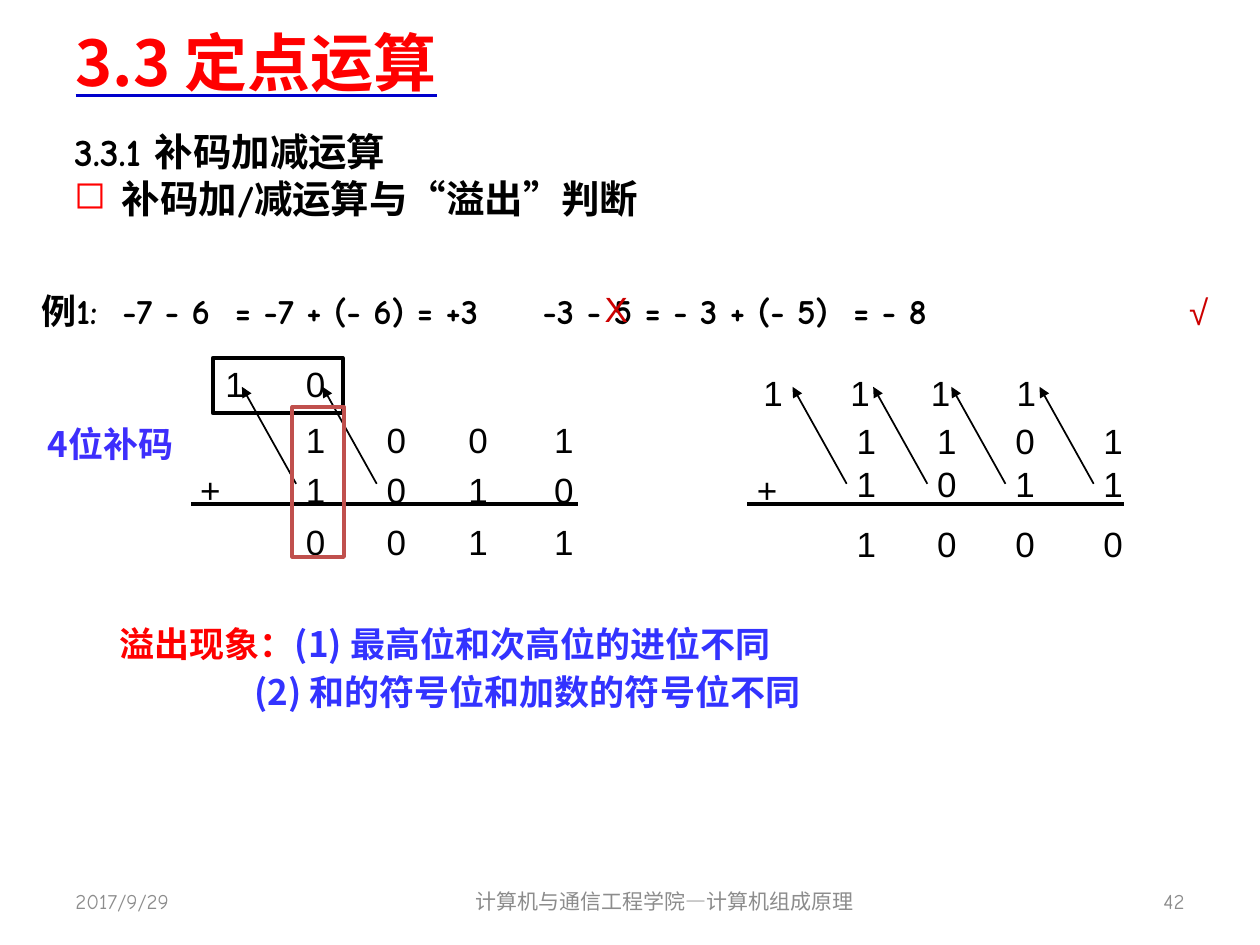
from dataclasses import dataclass
from typing import Optional

import pptx
import pptx.dml.color
import pptx.enum.shapes
import pptx.enum.text
import pptx.oxml
import pptx.oxml.ns
import pptx.util

Inches = pptx.util.Inches
Pt = pptx.util.Pt
RGB = pptx.dml.color.RGBColor.from_string
Align = pptx.enum.text.PP_ALIGN
Anchor = pptx.enum.text.MSO_ANCHOR
Fit = pptx.enum.text.MSO_AUTO_SIZE
qn = pptx.oxml.ns.qn


@dataclass(frozen=True)
class Theme:
    chinese: str = "Noto Sans CJK SC"
    casual: str = "Comic Neue"
    digits: str = "Arial"
    black: str = "000000"
    red: str = "FF0000"
    mark: str = "CC0000"
    underline: str = "0000CC"
    blue: str = "3333FF"
    violet: str = "3D2EFC"
    column_frame: str = "C0504D"
    grey: str = "8C8C8C"
    title_size: float = 36
    heading_size: float = 22
    text_size: float = 20
    footer_size: float = 12
    thick: float = 2.25
    thin: float = 1


THEME = Theme()


@dataclass(frozen=True)
class Style:
    font: str
    size: float
    color: str
    bold: bool = False


@dataclass(frozen=True)
class Addition:
    """One column addition; carries sit above and left of their columns."""
    columns: tuple[float, ...]
    rows: tuple[tuple[float, str], ...]
    carry_columns: tuple[float, ...]
    carry_digits: str
    carry_top: float
    plus_left: float
    rule: tuple[float, float]


TITLE = Style(THEME.chinese, THEME.title_size, THEME.red, True)
HEADING = Style(THEME.casual, THEME.heading_size, THEME.black, True)
EXAMPLE = Style(THEME.casual, THEME.text_size, THEME.black, True)
DIGIT = Style(THEME.digits, THEME.text_size, THEME.black)
MARK = Style(THEME.digits, THEME.text_size, THEME.mark)
WARNING = Style(THEME.chinese, THEME.text_size, THEME.red, True)
REASON = Style(THEME.chinese, THEME.text_size, THEME.blue, True)
WIDTH_LABEL = Style(THEME.chinese, THEME.text_size, THEME.violet, True)
FOOTER = Style(THEME.casual, THEME.footer_size, THEME.grey)

ADDITIONS = (
    Addition((2.33, 2.97, 3.62, 4.3),
             ((3.27, "1001"), (3.67, "1010"), (4.08, "0011")),
             (1.69, 2.33), "10", 2.83, 1.49, (1.52, 4.59)),
    Addition((6.7, 7.34, 7.96, 8.66),
             ((3.28, "1101"), (3.62, "1011"), (4.1, "1000")),
             (5.96, 6.65, 7.29, 7.97), "1111", 2.9, 5.91, (5.93, 8.92)),
)
PLUS_TOP, RULE_TOP = 3.67, 4
ARROW_START, ARROW_END, ARROW_SHIFT = 3.84, 3.07, 0.43


def add_xml(parent, tag: str, **attributes: str):
    child = pptx.oxml.parse_xml(f"<a:{tag} {pptx.oxml.ns.nsdecls('a')}/>")
    for name, value in attributes.items():
        child.set(name, value)
    parent.append(child)
    return child


def add_span(para, text: str, style: Style):
    span = para.add_run()
    span.text = text
    span.font.name = style.font
    span.font.size = Pt(style.size)
    span.font.bold = style.bold
    span.font.color.rgb = RGB(style.color)
    east_asian = add_xml(span.font._element, "ea", typeface=THEME.chinese)
    span.font._element.find(qn("a:latin")).addnext(east_asian)
    return span


def indent(para, left: float, first: float) -> None:
    properties = para._p.get_or_add_pPr()
    properties.set("marL", str(Inches(left)))
    properties.set("indent", str(Inches(first)))


def add_box(slide, left: float, top: float, width: float, height: float,
            wrap: bool = True, anchor=Anchor.TOP):
    box = slide.shapes.add_textbox(Inches(left), Inches(top),
                                   Inches(width), Inches(height))
    box.text_frame.word_wrap = wrap
    box.text_frame.vertical_anchor = anchor
    return box.text_frame


def add_label(slide, text: str, style: Style, left: float, top: float,
              width: float, height: float, align=Align.LEFT,
              wrap: bool = True, anchor=Anchor.TOP):
    para = add_box(slide, left, top, width, height, wrap, anchor).paragraphs[0]
    para.alignment = align
    add_span(para, text, style)
    return para


def add_digit(slide, text: str, left: float, top: float) -> None:
    add_label(slide, text, DIGIT, left, top, 0.36, 0.43, wrap=False)


def add_line(slide, x1: float, y1: float, x2: float, y2: float,
             weight: float, arrow: bool = False) -> None:
    line = slide.shapes.add_connector(
        pptx.enum.shapes.MSO_CONNECTOR.STRAIGHT,
        Inches(x1), Inches(y1), Inches(x2), Inches(y2))
    line.line.color.rgb = RGB(THEME.black)
    line.line.width = Pt(weight)
    if arrow:
        add_xml(line.line._get_or_add_ln(), "tailEnd", type="triangle")
    add_xml(line._element.spPr, "effectLst")


def add_frame(slide, color: str, left: float, top: float,
              width: float, height: float) -> None:
    frame = slide.shapes.add_shape(
        pptx.enum.shapes.MSO_SHAPE.RECTANGLE,
        Inches(left), Inches(top), Inches(width), Inches(height))
    frame.shadow.inherit = False
    frame.fill.background()
    frame.line.color.rgb = RGB(color)
    frame.line.width = Pt(THEME.thick)


def add_addition(slide, addition: Addition) -> None:
    for top, digits in addition.rows:
        for left, digit in zip(addition.columns, digits):
            add_digit(slide, digit, left, top)
    add_digit(slide, "+", addition.plus_left, PLUS_TOP)
    add_line(slide, addition.rule[0], RULE_TOP, addition.rule[1], RULE_TOP, THEME.thick)
    for left, digit, column in zip(addition.carry_columns, addition.carry_digits,
                                   addition.columns):
        add_digit(slide, digit, left, addition.carry_top)
        start = column + 0.02
        add_line(slide, start, ARROW_START, start - ARROW_SHIFT, ARROW_END,
                 THEME.thin, arrow=True)


def format_title(slide) -> None:
    title = slide.shapes.title
    title.left, title.top = Inches(0.5), Inches(0.06)
    title.width, title.height = Inches(9), Inches(0.85)
    title.text_frame.auto_size = Fit.NONE
    title.text_frame.vertical_anchor = Anchor.MIDDLE
    para = title.text_frame.paragraphs[0]
    para.alignment = Align.LEFT
    span = add_span(para, "3.3 定点运算", TITLE)
    span.font.underline = True
    underline = add_xml(span.font._element, "uFill")
    add_xml(add_xml(underline, "solidFill"), "srgbClr", val=THEME.underline)
    span.font._element.find(qn("a:latin")).addprevious(underline)


def add_headings(slide) -> None:
    frame = add_box(slide, 0.49, 0.97, 9.63, 5.59)
    add_span(frame.paragraphs[0], "3.3.1 补码加减运算", HEADING)
    para = frame.add_paragraph()
    indent(para, 0.38, -0.38)
    properties = para._p.get_or_add_pPr()
    add_xml(add_xml(properties, "buClr"), "srgbClr", val=THEME.red)
    add_xml(properties, "buChar", char="◻")
    add_span(para, "补码加/减运算与“溢出”判断", HEADING)


def add_overflow_rules(slide) -> None:
    frame = add_box(slide, 0.85, 4.84, 8.88, 0.88)
    first, second = frame.paragraphs[0], frame.add_paragraph()
    first.line_spacing = second.line_spacing = 1.15
    add_span(first, "溢出现象：", WARNING)
    add_span(first, "(1) 最高位和次高位的进位不同", REASON)
    indent(second, 1.07, 0)
    add_span(second, "(2) 和的符号位和加数的符号位不同", REASON)


def add_footer(slide) -> None:
    for text, left, width, align in (
            ("2017/9/29", 0.5, 2.33, Align.LEFT),
            ("计算机与通信工程学院—计算机组成原理", 3.42, 3.71, Align.CENTER),
            ("42", 7.17, 2.33, Align.RIGHT)):
        add_label(slide, text, FOOTER, left, 6.95, width, 0.4, align,
                  anchor=Anchor.MIDDLE)


def main(line_spacing: Optional[float] = 1.15) -> None:
    deck = pptx.Presentation()
    deck.slide_width, deck.slide_height = Inches(10), Inches(7.5)
    page = deck.slides.add_slide(deck.slide_layouts.get_by_name("Title Only"))
    format_title(page)
    add_headings(page)
    add_footer(page)
    example = add_label(page, "例1:  -7 - 6  = -7 + (- 6) = +3\t -3 - 5 = - 3 + (- 5)  = - 8",
                        EXAMPLE, 0.23, 2.25, 9.87, 0.39)
    indent(example, 0.38, -0.38)
    for addition in ADDITIONS:
        add_addition(page, addition)
    add_frame(page, THEME.black, 1.69, 2.84, 1.03, 0.44)
    add_overflow_rules(page)
    add_frame(page, THEME.column_frame, 2.32, 3.23, 0.41, 1.19)
    add_label(page, "X", MARK, 4.7, 2.23, 0.54, 0.44)
    add_label(page, "√", MARK, 9.34, 2.26, 0.54, 0.44)
    label = add_label(page, "4位补码", WIDTH_LABEL, 0.28, 3.25, 1.49, 0.49)
    label.line_spacing = line_spacing
    deck.save("out.pptx")


if __name__ == "__main__":
    main()
